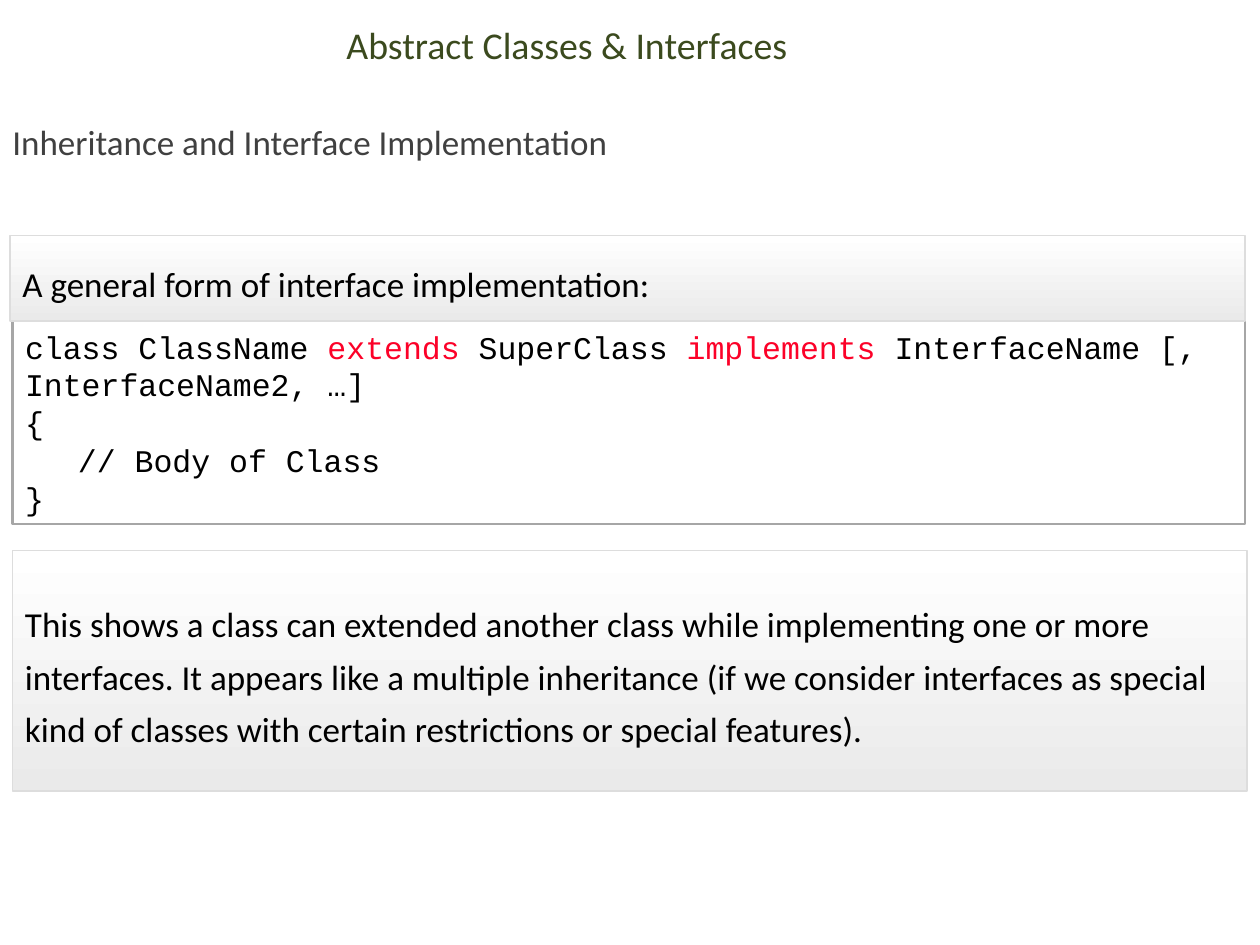
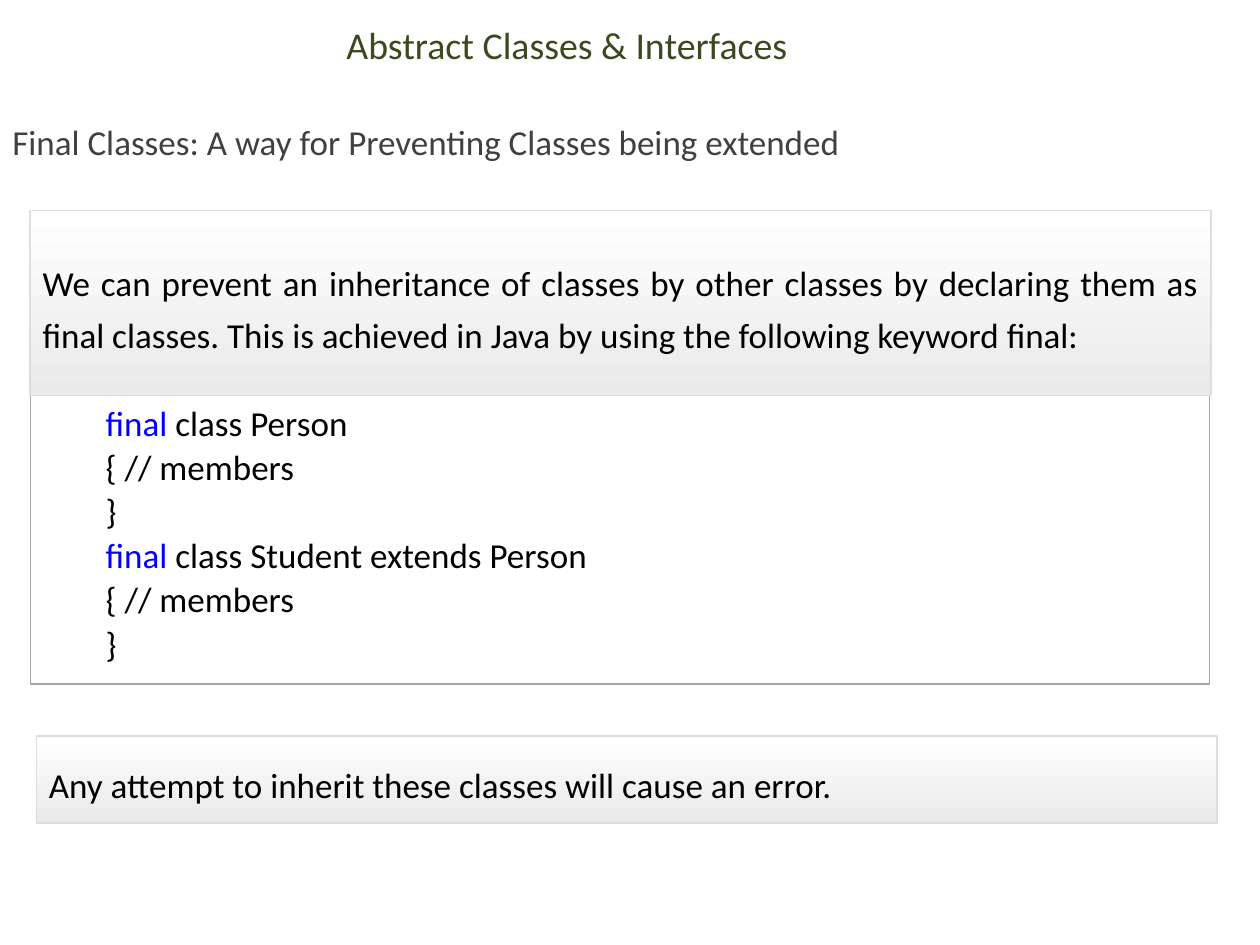
from pptx import Presentation
from pptx.dml.color import RGBColor
from pptx.enum.shapes import MSO_SHAPE
from pptx.enum.text import MSO_ANCHOR, PP_ALIGN
from pptx.util import Inches, Pt

RECTANGLE = MSO_SHAPE.RECTANGLE
TOP, MIDDLE = MSO_ANCHOR.TOP, MSO_ANCHOR.MIDDLE
LEFT, CENTER, JUSTIFY = PP_ALIGN.LEFT, PP_ALIGN.CENTER, PP_ALIGN.JUSTIFY

BLACK = RGBColor(0x00, 0x00, 0x00)
WHITE = RGBColor(0xFF, 0xFF, 0xFF)
OLIVE = RGBColor(0x3B, 0x4A, 0x1E)
SLATE = RGBColor(0x40, 0x40, 0x40)
RED = RGBColor(0xFC, 0x01, 0x28)
BLUE = RGBColor(0x00, 0x00, 0xFF)
PANEL_SHADE = RGBColor(0xEA, 0xEA, 0xEA)
PANEL_EDGE = RGBColor(0xDD, 0xDD, 0xDD)
CODE_EDGE = RGBColor(0xA6, 0xA6, 0xA6)

BODY_FONT, CODE_FONT = "Calibri", "Courier New"
BODY_SIZE = 20
TOPIC = "Abstract Classes & Interfaces"


def prepare_frame(frame, anchor, right=0.1, vertical=0.05):
    frame.word_wrap = True
    frame.vertical_anchor = anchor
    frame.margin_left, frame.margin_right = Inches(0.1), Inches(right)
    frame.margin_top = frame.margin_bottom = Inches(vertical)


def style_run(run, color, font=BODY_FONT, size=BODY_SIZE):
    run.font.name = font
    run.font.size = Pt(size)
    run.font.color.rgb = color


def write_paragraph(frame, text, color, align=LEFT, spacing=None, size=BODY_SIZE):
    frame.text = text
    paragraph = frame.paragraphs[0]
    paragraph.alignment = align
    paragraph.line_spacing = spacing
    style_run(paragraph.runs[0], color, size=size)


def add_heading(slide, subtitle):
    title = slide.shapes.add_textbox(Inches(0), Inches(0.14), Inches(9), Inches(0.43))
    prepare_frame(title.text_frame, MIDDLE)
    write_paragraph(title.text_frame, TOPIC, OLIVE, CENTER, size=21.6)
    section = slide.shapes.add_textbox(Inches(0), Inches(0.74), Inches(9.76), Inches(0.6))
    prepare_frame(section.text_frame, TOP)
    write_paragraph(section.text_frame, subtitle, SLATE, spacing=1.5)


def add_box(slide, bounds, edge, edge_width):
    box = slide.shapes.add_shape(RECTANGLE, *map(Inches, bounds))
    box.shadow.inherit = False
    box.line.color.rgb = edge
    box.line.width = Pt(edge_width)
    return box


def add_panel(slide, bounds, text, align=JUSTIFY, right=0.1):
    panel = add_box(slide, bounds, PANEL_EDGE, 1)
    panel.fill.gradient()
    panel.fill.gradient_angle = 270
    for stop, color in zip(panel.fill.gradient_stops, (WHITE, PANEL_SHADE)):
        stop.color.rgb = color
    prepare_frame(panel.text_frame, MIDDLE, right, 0.1)
    write_paragraph(panel.text_frame, text, BLACK, align, Pt(30))


def add_code(slide, bounds, lines, font, size, edge_width, right=0.1,
             vertical=0.05, spacing=None, before=0):
    code = add_box(slide, bounds, CODE_EDGE, edge_width)
    code.fill.background()
    frame = code.text_frame
    prepare_frame(frame, MIDDLE, right, vertical)
    for index, (indent, pieces) in enumerate(lines):
        paragraph = frame.add_paragraph() if index else frame.paragraphs[0]
        paragraph.alignment = LEFT
        paragraph.line_spacing = spacing
        paragraph.space_before = Pt(before)
        paragraph._p.get_or_add_pPr().set("marL", str(Inches(indent)))
        for text, color in pieces:
            run = paragraph.add_run()
            run.text = text
            style_run(run, color, font, size)


def final_class(declaration):
    return [
        (0.5, [("final", BLUE), (declaration, BLACK)]),
        (0.5, [("{ // members", BLACK)]),
        (0.5, [("}", BLACK)]),
    ]


def build_implementation_slide(slide):
    signature = [
        ("class ClassName ", BLACK),
        ("extends ", RED),
        ("SuperClass", BLACK),
        (" implements ", RED),
        ("InterfaceName [, InterfaceName2, …]", BLACK),
    ]
    class_form = [
        (0, signature),
        (0, [("{", BLACK)]),
        (0.42, [("// Body of Class", BLACK)]),
        (0, [("}", BLACK)]),
    ]
    add_code(slide, (0.1, 2.54, 9.78, 1.62), class_form, CODE_FONT, 18, 1.5, right=0)
    add_heading(slide, "Inheritance and Interface Implementation")
    add_panel(slide, (0.08, 1.87, 9.8, 0.68), "A general form of interface implementation:")
    add_panel(
        slide, (0.1, 4.37, 9.8, 1.91),
        "This shows a class can extended another class while implementing one or more "
        "interfaces. It appears like a multiple inheritance (if we consider interfaces "
        "as special kind of classes with certain restrictions or special features).",
        LEFT, right=0)


def build_final_slide(slide):
    add_heading(slide, "Final Classes: A way for Preventing Classes being extended")
    examples = final_class(" class Person") + final_class(" class Student extends Person")
    add_code(slide, (0.24, 3.07, 9.36, 2.36), examples, BODY_FONT, BODY_SIZE, 0.75,
             vertical=0.1, spacing=0.9, before=3.6)
    add_panel(
        slide, (0.24, 1.67, 9.37, 1.47),
        "We can prevent an inheritance of classes by other classes by declaring them as "
        "final classes. This is achieved in Java by using the following keyword final:")
    add_panel(slide, (0.29, 5.84, 9.37, 0.69),
              "Any attempt to inherit these classes will cause an error.")


def main():
    deck = Presentation()
    deck.slide_width, deck.slide_height = Inches(10), Inches(7.5)
    blank = deck.slide_layouts[6]
    for build in (build_implementation_slide, build_final_slide):
        build(deck.slides.add_slide(blank))
    deck.save("out.pptx")


if __name__ == "__main__":
    main()
